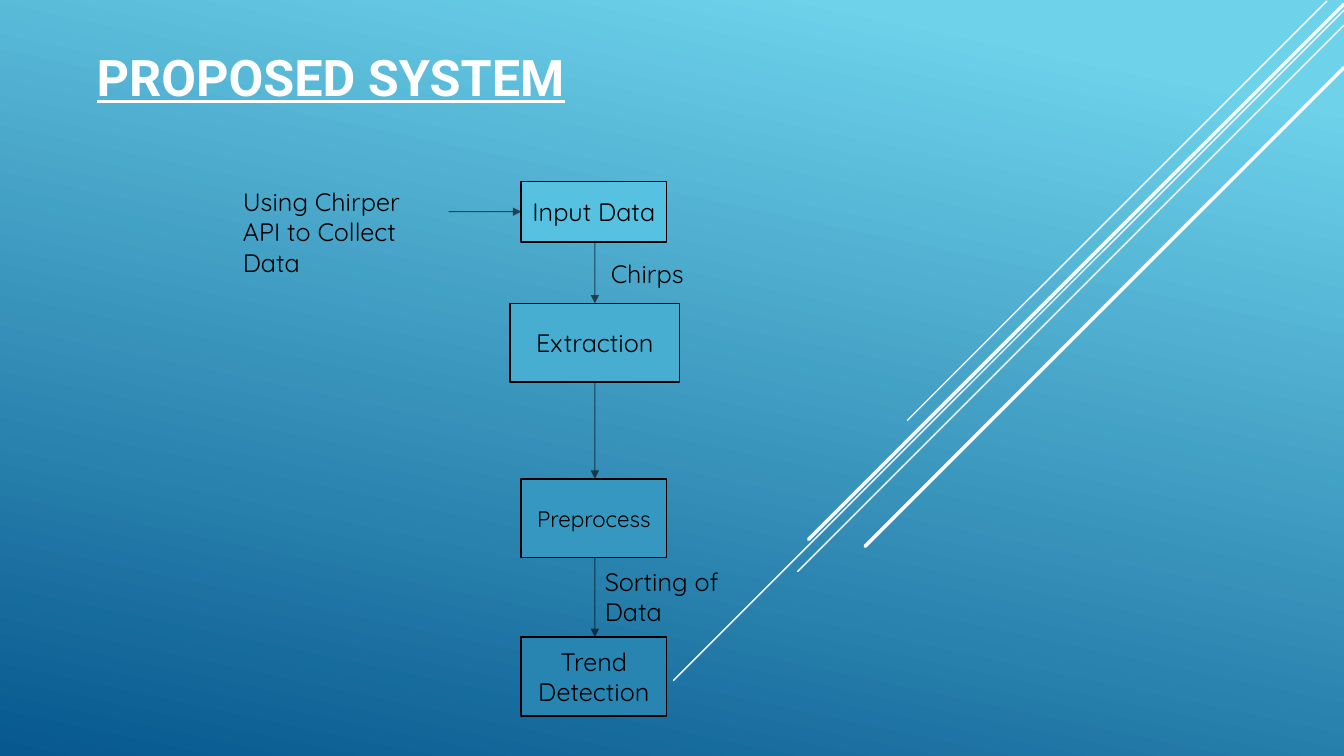
from dataclasses import dataclass
from itertools import pairwise

from lxml import etree
from pptx import Presentation
from pptx.dml.color import RGBColor
from pptx.enum.shapes import MSO_CONNECTOR, MSO_SHAPE
from pptx.enum.text import MSO_ANCHOR, MSO_AUTO_SIZE, PP_ALIGN
from pptx.oxml.ns import qn
from pptx.shapes.connector import Connector
from pptx.slide import Slide
from pptx.text.text import TextFrame
from pptx.util import Emu, Pt

STRAIGHT = MSO_CONNECTOR.STRAIGHT
RECTANGLE = MSO_SHAPE.RECTANGLE
MIDDLE = MSO_ANCHOR.MIDDLE
GROW = MSO_AUTO_SIZE.SHAPE_TO_FIT_TEXT
CENTER, LEFT = PP_ALIGN.CENTER, PP_ALIGN.LEFT

BLACK = RGBColor(0x00, 0x00, 0x00)
WHITE = RGBColor(0xFF, 0xFF, 0xFF)
SKY = RGBColor(0x6E, 0xD2, 0xEB)
OCEAN = RGBColor(0x06, 0x58, 0x8E)

EMU_PER_PX = 9144  # 100 px to the inch
FLOW_AXIS = 590
BODY_FONT = {"name": "Quicksand", "size": Pt(18)}
TITLE_FONT = {"name": "Roboto", "size": Pt(36), "bold": True, "underline": True}


@dataclass(frozen=True)
class Ray:
    right: int
    top: int
    reach: int
    weight: float


@dataclass(frozen=True)
class Step:
    text: str
    left: int
    top: int
    width: int
    height: int
    fill: RGBColor
    size: int = 18

    @property
    def bottom(self) -> int:
        return self.top + self.height


@dataclass(frozen=True)
class Label:
    text: str
    left: int
    top: int
    width: int
    height: int


RAYS = [
    Ray(1316, 1, 416, 1),
    Ray(1333, 10, 665, 1),
    Ray(1333, 25, 542, 1),
    Ray(1333, 4, 531, 2.5),
    Ray(1333, 67, 475, 2.5),
]
STEPS = [
    Step("Input Data", 517, 180, 144, 60, RGBColor(0x56, 0xC1, 0xE0)),
    Step("Extraction", 506, 301, 168, 78, RGBColor(0x47, 0xAE, 0xD1)),
    Step("Preprocess", 517, 475, 144, 78, RGBColor(0x36, 0x98, 0xC0), 16),
    Step("Trend Detection", 517, 632, 144, 78, RGBColor(0x28, 0x84, 0xB1)),
]
SOURCE = Label("Using Chirper API to Collect Data", 231, 180, 214, 71)
LABELS = [
    Label("Chirps", 596, 251, 103, 42),
    Label("Sorting of Data", 590, 557, 188, 71),
    SOURCE,
]
TITLE = Label("PROPOSED SYSTEM", 86, 41, 520, 71)


def px(length: int) -> Emu:
    return Emu(length * EMU_PER_PX)


def write(frame: TextFrame, text: str, color: RGBColor, font_format: dict,
          alignment: PP_ALIGN) -> None:
    frame.word_wrap = True
    paragraph = frame.paragraphs[0]
    paragraph.alignment = alignment
    run = paragraph.add_run()
    run.text = text
    for attribute, value in font_format.items():
        setattr(run.font, attribute, value)
    run.font.color.rgb = color


def add_line(slide: Slide, start: tuple[int, int], end: tuple[int, int],
             color: RGBColor, weight: float) -> Connector:
    line = slide.shapes.add_connector(STRAIGHT, *map(px, start + end))
    line.line.color.rgb = color
    line.line.width = Pt(weight)
    etree.SubElement(line._element.spPr, qn("a:effectLst"))
    return line


def add_ray(slide: Slide, ray: Ray) -> None:
    """Draw a round-capped line falling at 45 degrees to the left."""
    end = (ray.right - ray.reach, ray.top + ray.reach)
    line = add_line(slide, (ray.right, ray.top), end, WHITE, ray.weight)
    line.line._get_or_add_ln().set("cap", "rnd")


def add_arrow(slide: Slide, start: tuple[int, int], end: tuple[int, int]) -> None:
    arrow = add_line(slide, start, end, BLACK, 0.75)
    outline = arrow.line._get_or_add_ln()
    color = outline.find(qn("a:solidFill"))[0]
    etree.SubElement(color, qn("a:alpha"), val="60000")
    etree.SubElement(outline, qn("a:tailEnd"), type="triangle")


def add_step(slide: Slide, step: Step) -> None:
    box = slide.shapes.add_shape(
        RECTANGLE, px(step.left), px(step.top), px(step.width), px(step.height))
    box.shadow.inherit = False
    box.fill.solid()
    box.fill.fore_color.rgb = step.fill
    box.line.color.rgb = BLACK
    box.line.width = Pt(1.25)
    box.text_frame.vertical_anchor = MIDDLE
    write(box.text_frame, step.text, BLACK, BODY_FONT | {"size": Pt(step.size)}, CENTER)


def add_label(slide: Slide, label: Label, color: RGBColor, font_format: dict) -> None:
    box = slide.shapes.add_textbox(
        px(label.left), px(label.top), px(label.width), px(label.height))
    box.text_frame.auto_size = GROW
    write(box.text_frame, label.text, color, font_format, LEFT)


def paint_background(slide: Slide) -> None:
    fill = slide.background.fill
    fill.gradient()
    fill.gradient_angle = 360 - 102  # counter-clockwise
    for stop, position, color in zip(fill.gradient_stops, (0.1, 1), (SKY, OCEAN)):
        stop.position = position
        stop.color.rgb = color


def main() -> None:
    presentation = Presentation()
    presentation.slide_width, presentation.slide_height = px(1333), px(750)
    slide = presentation.slides.add_slide(presentation.slide_layouts[6])
    paint_background(slide)
    for ray in RAYS:
        add_ray(slide, ray)
    for step in STEPS:
        add_step(slide, step)
    for upper, lower in pairwise(STEPS):
        add_arrow(slide, (FLOW_AXIS, upper.bottom), (FLOW_AXIS, lower.top))
    first = STEPS[0]
    middle = first.top + first.height // 2
    add_arrow(slide, (SOURCE.left + SOURCE.width, middle), (first.left, middle))
    for label in LABELS:
        add_label(slide, label, BLACK, BODY_FONT)
    add_label(slide, TITLE, WHITE, TITLE_FONT)
    presentation.save("out.pptx")


if __name__ == "__main__":
    main()
